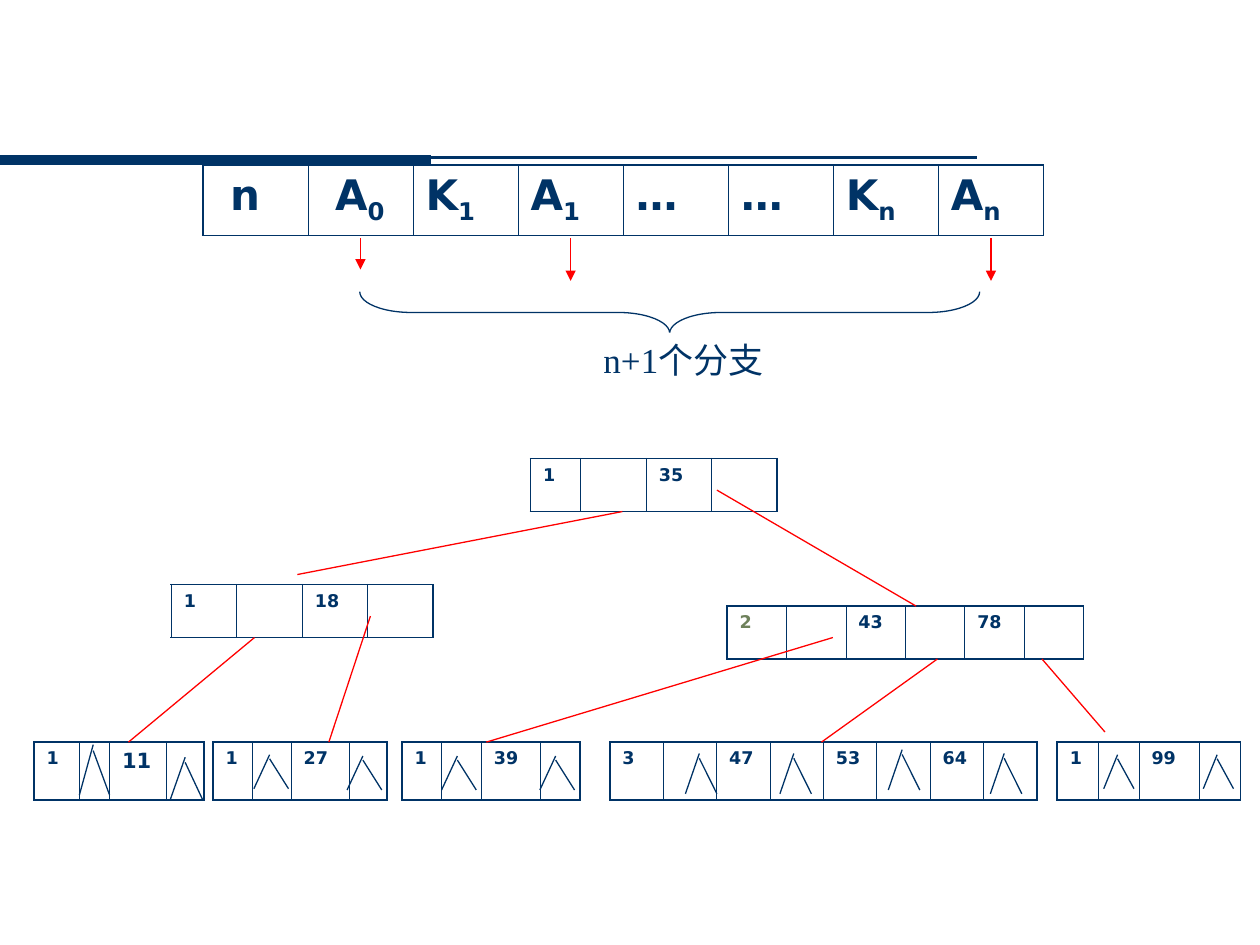
import pptx
import pptx.util
import pptx.dml.color
import pptx.enum.shapes
import pptx.enum.text
from lxml import etree
from pptx.oxml.ns import qn

Inches, Pt, RGBColor = pptx.util.Inches, pptx.util.Pt, pptx.dml.color.RGBColor
NAVY = RGBColor(0x00, 0x33, 0x66)
RED = RGBColor(0xFF, 0x00, 0x00)
OLIVE = RGBColor(0x6E, 0x81, 0x5B)
WHITE = RGBColor(0xFF, 0xFF, 0xFF)
FONT, LABEL_FONT = "DejaVu Sans", "Times New Roman"
OUTER, INNER = 1.08, 0.45  # border widths in points

# Node layout: each field is (text, subscript)
FIELDS = [(" n", ""), (" A", "0"), ("K", "1"), ("A", "1"),
          ("…", ""), ("…", ""), ("K", "n"), ("A", "n")]
FIELD_LEFT, FIELD_TOP, FIELD_WIDTH, FIELD_HEIGHT = 1.61, 1.31, 0.834, 0.56
POINTER_ARROWS = [(1, 2.14), (3, 2.23), (7, 2.23)]  # (field, arrow end)

# Tree nodes: left, top, height, column widths, key count, keys
LEAF_TOP, LEAF_HEIGHT, INNER_HEIGHT = 5.89, 0.46, 0.42
NODES = [
    (4.21, 3.64, INNER_HEIGHT, [0.4, 0.52, 0.52, 0.52], "1", ["35"]),
    (1.36, 4.64, INNER_HEIGHT, [0.52] * 4, "1", ["18"]),
    (5.77, 4.81, INNER_HEIGHT, [0.472] * 6, "2", ["43", "78"]),
    (0.27, LEAF_TOP, LEAF_HEIGHT, [0.36, 0.24, 0.45, 0.3], "1", ["11"]),
    (1.69, LEAF_TOP, LEAF_HEIGHT, [0.31, 0.31, 0.46, 0.3], "1", ["27"]),
    (3.19, LEAF_TOP, LEAF_HEIGHT, [0.315, 0.315, 0.47, 0.315], "1", ["39"]),
    (4.84, LEAF_TOP, LEAF_HEIGHT, [0.424] * 8, "3", ["47", "53", "64"]),
    (8.39, LEAF_TOP, LEAF_HEIGHT, [0.325, 0.325, 0.48, 0.325], "1", ["99"]),
]
TEXT_SIZES = {"11": 12}
TEXT_COLORS = {"2": OLIVE}

BRANCHES = [
    (4.94, 4.06, 2.36, 4.56), (5.69, 3.89, 7.27, 4.81),
    (2.02, 5.06, 1.02, 5.89), (2.94, 4.89, 2.61, 5.89),
    (6.61, 5.06, 3.86, 5.89), (7.44, 5.23, 6.52, 5.89),
    (8.27, 5.23, 8.77, 5.81),
]

# Null pointer marks: (apex x, apex y), grouped by (height, left reach, right reach)
NULL_MARKS = {
    (0.4, 0.11, 0.13): [(0.74, 5.91)],
    (0.34, 0.12, 0.14): [(1.47, 6.01)],
    (0.27, 0.125, 0.15): [(2.14, 5.99), (2.88, 6), (3.63, 6), (4.41, 6)],
    (0.32, 0.11, 0.14): [(5.55, 5.98), (6.3, 5.98), (7.16, 5.95), (7.97, 5.98)],
    (0.27, 0.11, 0.13): [(8.87, 5.99), (9.66, 5.99)],
}


def add_line(slide, x1, y1, x2, y2, color, width=0.75, arrow=False):
    line = slide.shapes.add_connector(
        pptx.enum.shapes.MSO_CONNECTOR.STRAIGHT,
        Inches(x1), Inches(y1), Inches(x2), Inches(y2))
    line.line.color.rgb = color
    line.line.width = Pt(width)
    if arrow:
        etree.SubElement(line.line._get_or_add_ln(), qn("a:tailEnd"), type="triangle")
    etree.SubElement(line._element.spPr, qn("a:effectLst"))


def style_cell(cell, is_first, is_last):
    """Draw the cell's borders, heavier on the table's outside, and fill it."""
    properties = cell._tc.get_or_add_tcPr()
    widths = {"lnL": OUTER if is_first else INNER, "lnR": OUTER if is_last else INNER,
              "lnT": OUTER, "lnB": OUTER}
    for side, width in widths.items():
        border = etree.SubElement(properties, qn("a:" + side), w=str(Pt(width)))
        fill = etree.SubElement(border, qn("a:solidFill"))
        etree.SubElement(fill, qn("a:srgbClr"), val=str(NAVY))
    cell.fill.solid()
    cell.fill.fore_color.rgb = WHITE


def set_font(paragraph, name, size, color, bold):
    paragraph.font.name = name
    paragraph.font.size = Pt(size)
    paragraph.font.color.rgb = color
    paragraph.font.bold = bold


def add_row_table(slide, left, top, height, widths, texts, size):
    """Add a one-row table; each text is a pair of base and subscript."""
    table = slide.shapes.add_table(
        1, len(widths), Inches(left), Inches(top),
        Inches(sum(widths)), Inches(height)).table
    table.first_row = table.horz_banding = False
    last = len(widths) - 1
    for column, (width, (base, subscript)) in enumerate(zip(widths, texts)):
        table.columns[column].width = Inches(width)
        cell = table.cell(0, column)
        style_cell(cell, column == 0, column == last)
        paragraph = cell.text_frame.paragraphs[0]
        set_font(paragraph, FONT, TEXT_SIZES.get(base, size),
                 TEXT_COLORS.get(base, NAVY), True)
        if base:
            paragraph.add_run().text = base
        if subscript:
            run = paragraph.add_run()
            run.text = subscript
            run._r.get_or_add_rPr().set("baseline", "-25000")


def add_brace(slide):
    brace = slide.shapes.add_shape(
        pptx.enum.shapes.MSO_SHAPE.LEFT_BRACE,
        Inches(5.15), Inches(0.02), Inches(0.33), Inches(4.92))
    brace.rotation = 270
    brace.adjustments[0] = 1.24
    brace.shadow.inherit = False
    brace.fill.solid()
    brace.fill.fore_color.rgb = WHITE
    brace.line.color.rgb = NAVY
    brace.line.width = Pt(0.75)


def add_branch_label(slide):
    label = slide.shapes.add_textbox(Inches(4.66), Inches(2.64), Inches(1.53), Inches(0.44))
    label.fill.solid()
    label.fill.fore_color.rgb = WHITE
    label.text_frame.word_wrap = False
    label.text_frame.auto_size = pptx.enum.text.MSO_AUTO_SIZE.SHAPE_TO_FIT_TEXT
    paragraph = label.text_frame.paragraphs[0]
    paragraph.text = "n+1个分支"
    paragraph.alignment = pptx.enum.text.PP_ALIGN.CENTER
    set_font(paragraph, LABEL_FONT, 20, NAVY, False)


def main():
    presentation = pptx.Presentation()
    presentation.slide_width, presentation.slide_height = Inches(10), Inches(7.5)
    slide = presentation.slides.add_slide(presentation.slide_layouts[6])

    add_line(slide, 7.75, 1.25, 0, 1.25, NAVY, 1.5)
    add_line(slide, 0, 1.27, 3.42, 1.27, NAVY, 6)

    add_row_table(slide, FIELD_LEFT, FIELD_TOP, FIELD_HEIGHT,
                  [FIELD_WIDTH] * len(FIELDS), FIELDS, 24)
    for field, end in POINTER_ARROWS:
        x = FIELD_LEFT + (field + 0.5) * FIELD_WIDTH
        add_line(slide, x, 1.89, x, end, RED, arrow=True)
    add_brace(slide)
    add_branch_label(slide)

    for left, top, height, widths, count, keys in NODES:
        texts = [(count, ""), ("", "")]
        for key in keys:
            texts += [(key, ""), ("", "")]
        add_row_table(slide, left, top, height, widths, texts, 10)
    for branch in BRANCHES:
        add_line(slide, *branch, RED)

    for (height, left_reach, right_reach), apexes in NULL_MARKS.items():
        for x, y in apexes:
            add_line(slide, x, y, x - left_reach, y + height, NAVY)
            add_line(slide, x, y + 0.12 * height, x + right_reach, y + height, NAVY)

    presentation.save("out.pptx")


if __name__ == "__main__":
    main()
